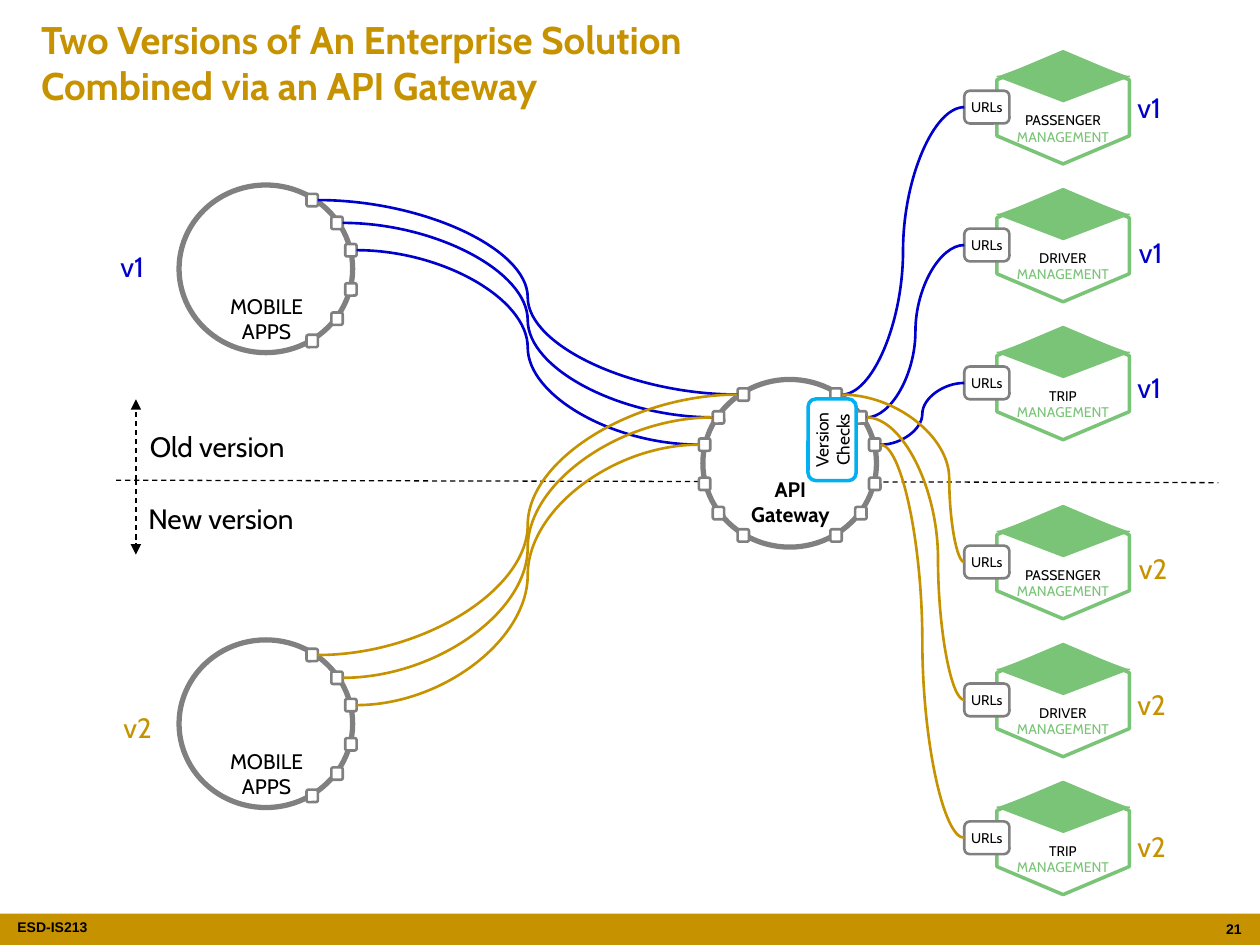
"""Build a slide of two solution versions joined by an API gateway."""
from dataclasses import dataclass
from lxml.etree import SubElement
from pptx import Presentation
from pptx.dml.color import RGBColor
from pptx.enum.dml import MSO_LINE
from pptx.enum.shapes import MSO_CONNECTOR, MSO_SHAPE, MSO_SHAPE_TYPE
from pptx.enum.text import MSO_ANCHOR, MSO_AUTO_SIZE, PP_ALIGN
from pptx.oxml.ns import qn
from pptx.util import Cm, Pt


@dataclass(frozen=True)
class Theme:
    gold: str = "C69200"
    blue: str = "0000CC"
    green: str = "7AC477"
    gray: str = "808080"
    cyan: str = "00B0F0"
    black: str = "000000"
    white: str = "FFFFFF"
    face: str = "Cabin"
    plain: str = "Arial"
    title: int = 22
    label: int = 16
    body: int = 12
    check: int = 10
    small: int = 8


theme = Theme()
deck = Presentation()
deck.slide_width, deck.slide_height = Cm(25.4), Cm(19.05)
shapes = deck.slides.add_slide(deck.slide_layouts[6]).shapes


def draw(kind, box, fill=theme.white, edge=theme.gray, width=1.5):
    item = shapes.add_shape(kind, *map(Cm, box))
    item.shadow.inherit = False
    item.fill.solid()
    item.fill.fore_color.rgb = RGBColor.from_string(fill)
    item.line.color.rgb = RGBColor.from_string(edge)
    item.line.width = Pt(width)
    return item


def write(item, text, size, tint=theme.black, align=PP_ALIGN.CENTER,
          bold=False, face=theme.face, wrap=True):
    frame = item.text_frame
    frame.text = text
    frame.word_wrap = wrap
    if item.shape_type == MSO_SHAPE_TYPE.TEXT_BOX:
        frame.auto_size = MSO_AUTO_SIZE.SHAPE_TO_FIT_TEXT
    else:
        frame.margin_left = frame.margin_right = Cm(0.1)
        frame.vertical_anchor = MSO_ANCHOR.MIDDLE
    for para in frame.paragraphs:
        para.alignment = align
        font = para.font
        font.name, font.size, font.bold = face, Pt(size), bold
        font.color.rgb = RGBColor.from_string(tint)
    return frame


draw(MSO_SHAPE.RECTANGLE, (0, 18.42, 25.4, 0.63), theme.gold, theme.gold, 0.25).line.fill.background()
for text, box, align in (
    ("ESD-IS213", (0.1, 18.39, 3.8, 0.64), PP_ALIGN.LEFT),
    ("21", (24.28, 18.44, 1, 0.61), PP_ALIGN.RIGHT),
):
    write(shapes.add_textbox(*map(Cm, box)), text, theme.small, align=align,
          bold=True, face=theme.plain)

title = shapes.add_textbox(Cm(0.58), Cm(0.18), Cm(24.23), Cm(2.13))
frame = write(title, "Two Versions of An Enterprise Solution\vCombined via an API Gateway",
              theme.title, theme.gold, PP_ALIGN.LEFT, True)
frame.vertical_anchor = MSO_ANCHOR.MIDDLE

links = []
for ends, tip in (
    ((2.34, 9.68, 24.56, 9.73), False),
    ((2.74, 9.68, 2.74, 8.05), True),
    ((2.74, 9.68, 2.74, 11.18), True),
):
    link = shapes.add_connector(MSO_CONNECTOR.STRAIGHT, *map(Cm, ends))
    link.line.dash_style = MSO_LINE.DASH
    links.append((link, theme.black, 0.75, tip))

span, tall, side = 3.5, 3.38, 0.23
spots = ((2.57, 0.18), (3.07, 0.64), (3.35, 1.19), (3.35, 1.98), (3.07, 2.57), (2.57, 3.02))
ports = {}
for name, left, top, text, drop, both in (
    ("v1", 3.61, 3.73, "MOBILE APPS", 2.06, False),
    ("v2", 3.61, 12.9, "MOBILE APPS", 2.06, False),
    ("gate", 14.17, 7.65, "API\nGateway", 1.83, True),
):
    draw(MSO_SHAPE.OVAL, (left, top, span, tall), width=3)
    note = shapes.add_textbox(Cm(left + 0.33), Cm(top + drop), Cm(2.87), Cm(1.27))
    write(note, text, theme.body, bold=both)
    ports[name] = [draw(MSO_SHAPE.ROUNDED_RECTANGLE, (left + x, top + y, side, 0.25))
                   for x, y in spots]
    if both:
        ports["entry"] = [
            draw(MSO_SHAPE.ROUNDED_RECTANGLE, (left + span - side - x, top + y, side, 0.25))
            for x, y in spots]

urls = {"v1": [], "v2": []}
for name, start in (("v1", 0.84), ("v2", 10.01)):
    for row, text in enumerate(("PASSENGER", "DRIVER", "TRIP")):
        left, top = 20.3, start + row * 2.78
        draw(MSO_SHAPE.HEXAGON, (left, top, 2.26, 2.67), edge=theme.green, width=2).rotation = 90
        note = shapes.add_textbox(Cm(left - 0.17), Cm(top + 1.28), Cm(2.6), Cm(0.56))
        frame = write(note, f"{text}\nMANAGEMENT", theme.small)
        frame.paragraphs[1].font.color.rgb = RGBColor.from_string(theme.green)
        for box, turn in (
            ((left - 0.17, top + 0.23, 2.6, 0.48), 0),
            ((left - 0.2, top + 0.7, 2.67, 0.51), 180),
        ):
            draw(MSO_SHAPE.ISOSCELES_TRIANGLE, box, theme.green, theme.green, 0.75).rotation = turn
        tag = draw(MSO_SHAPE.ROUNDED_RECTANGLE, (left - 0.86, top + 0.99, 0.91, 0.66))
        write(tag, "URLs", theme.small)
        urls[name].append(tag)

bends = {"v1": (50000, 50000, 50000), "v2": (12300, 26900, 50000)}
for name, tint in (("v1", theme.blue), ("v2", theme.gold)):
    pairs = [(*pair, 50000) for pair in zip(ports["entry"][:3], ports[name])]
    pairs += zip(urls[name], ports["gate"], bends[name])
    for head, foot, bend in pairs:
        link = shapes.add_connector(MSO_CONNECTOR.CURVE, 0, 0, 0, 0)
        link.begin_connect(head, 1)
        link.end_connect(foot, 3)
        geom = link._element.spPr.find(qn("a:prstGeom"))
        guides = geom.find(qn("a:avLst"))
        if guides is None:
            guides = SubElement(geom, qn("a:avLst"))
        SubElement(guides, qn("a:gd"), name="adj1", fmla=f"val {bend}")
        links.append((link, tint, 1.5, False))

for link, tint, width, tip in links:
    link.line.color.rgb = RGBColor.from_string(tint)
    link.line.width = Pt(width)
    if tip:
        SubElement(link.line._get_or_add_ln(), qn("a:tailEnd"), type="triangle")
    SubElement(link._element.spPr, qn("a:effectLst"))

check = draw(MSO_SHAPE.ROUNDED_RECTANGLE, (15.95, 8.38, 1.65, 0.97), edge=theme.cyan, width=2)
check.rotation = 270
write(check, "Version Checks", theme.check)

for text, left, top, width, tint in (
    ("v1", 22.68, 1.7, 1.12, theme.blue),
    ("v1", 22.71, 4.62, 1.12, theme.blue),
    ("v1", 22.68, 7.34, 1.12, theme.blue),
    ("v2", 22.71, 11, 1.12, theme.gold),
    ("v2", 22.68, 13.74, 1.12, theme.gold),
    ("v2", 22.68, 16.59, 1.12, theme.gold),
    ("v1", 2.18, 4.9, 1.12, theme.blue),
    ("v2", 2.24, 14.2, 1.12, theme.gold),
    ("Old version", 2.77, 8.53, 3.33, theme.black),
    ("New version", 2.74, 9.98, 3.58, theme.black),
):
    note = shapes.add_textbox(Cm(left), Cm(top), Cm(width), Cm(0.94))
    write(note, text, theme.label, tint, PP_ALIGN.LEFT, wrap=False)

deck.save("out.pptx")
